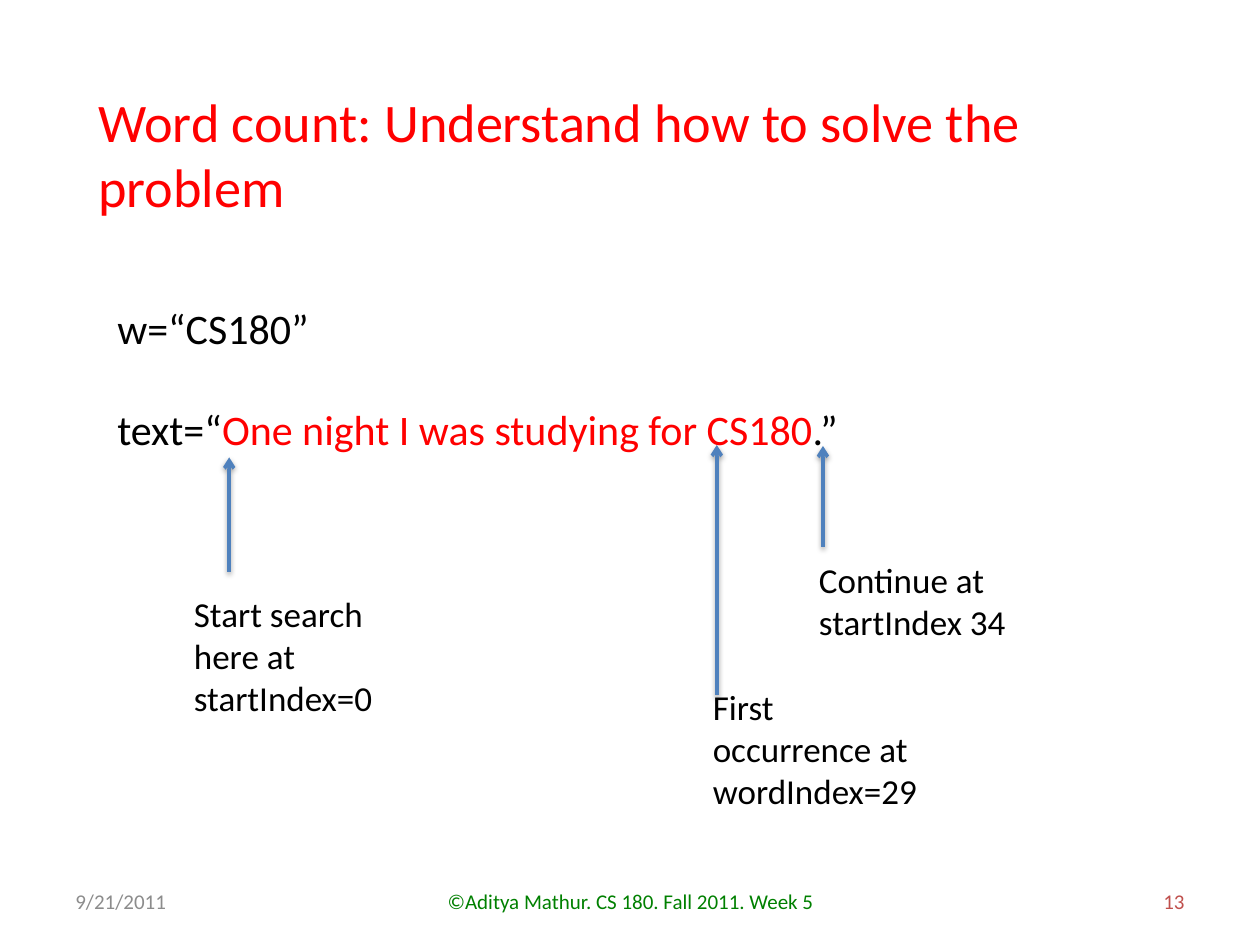
import pptx
import pptx.util
import pptx.dml.color
import pptx.enum.text
import pptx.enum.shapes
import pptx.oxml
import pptx.oxml.ns

Cm, Pt = pptx.util.Cm, pptx.util.Pt
ALIGN = pptx.enum.text.PP_ALIGN
ANCHOR = pptx.enum.text.MSO_ANCHOR

COLORS = {"red": "FF0000", "black": "000000", "gray": "8C8C8C",
          "green": "008000", "number": "C0504D", "arrow": "4F81BD"}

HEADING = "Word count: Understand how to solve the problem"
VARIABLES = [
    [("w=“CS180”", "black")],
    [("text=“", "black"), ("One night I was studying for CS180", "red"), (".”", "black")],
]
FOOTERS = [
    ("9/21/2011", 1.27, 5.92, ALIGN.LEFT, "gray"),
    ("©Aditya Mathur. CS 180. Fall 2011. Week 5", 8.69, 8.05, ALIGN.CENTER, "green"),
    ("13", 18.21, 5.92, ALIGN.RIGHT, "number"),
]
POINTERS = [
    {"label": "Start search\nhere at\nstartIndex=0",
     "box": (3.66, 11.81, 4.32, 2.82), "arrow": (4.62, 11.53, 9.22)},
    {"label": "First\noccurrence at\nwordIndex=29",
     "box": (14.12, 13.69, 4.7, 2.82), "arrow": (14.45, 14.02, 8.97)},
    {"label": "Continue at\nstartIndex 34",
     "box": (16.26, 11.13, 4.34, 1.96), "arrow": (16.59, 11.02, 8.99)},
]

NS = pptx.oxml.ns.nsdecls("a")
ARROWHEAD = f'<a:tailEnd {NS} type="arrow"/>'
SHADOW = (f'<a:effectLst {NS}><a:outerShdw blurRad="{Pt(3.1)}" dist="{Pt(1.6)}" '
          f'dir="5400000" rotWithShape="0"><a:srgbClr val="{COLORS["black"]}">'
          '<a:alpha val="38000"/></a:srgbClr></a:outerShdw></a:effectLst>')


def rgb(color):
    return pptx.dml.color.RGBColor.from_string(COLORS[color])


def format_run(run, size, color):
    run.font.name = "Calibri"
    run.font.size = Pt(size)
    run.font.color.rgb = rgb(color)


def format_frame(frame, size, color, align=ALIGN.LEFT, anchor=ANCHOR.TOP, wrap=True):
    frame.word_wrap = wrap
    frame.auto_size = pptx.enum.text.MSO_AUTO_SIZE.NONE
    frame.vertical_anchor = anchor
    for paragraph in frame.paragraphs:
        paragraph.alignment = align
        for run in paragraph.runs:
            format_run(run, size, color)


def place(shape, left, top, width, height):
    shape.left, shape.top = Cm(left), Cm(top)
    shape.width, shape.height = Cm(width), Cm(height)


deck = pptx.Presentation()
deck.slide_width, deck.slide_height = Cm(25.4), Cm(19.05)
slide = deck.slides.add_slide(deck.slide_layouts[1])

heading = slide.shapes.title
place(heading, 1.73, 1.65, 22.76, 2.9)
heading.text_frame.text = HEADING
format_frame(heading.text_frame, 31, "red")

variables = slide.placeholders[1]
place(variables, 2.11, 5.97, 20.75, 4.37)
format_frame(variables.text_frame, 24, "black")
for index, parts in enumerate(VARIABLES):
    frame = variables.text_frame
    line = frame.add_paragraph() if index else frame.paragraphs[0]
    line.space_before = Pt(29 * index)
    properties = line._p.get_or_add_pPr()
    properties.set("marL", "0")
    properties.set("indent", "0")
    properties.append(pptx.oxml.parse_xml(f"<a:buNone {NS}/>"))
    for words, color in parts:
        run = line.add_run()
        run.text = words
        format_run(run, 24, color)

for words, left, width, align, color in FOOTERS:
    footer = slide.shapes.add_textbox(Cm(left), Cm(17.65), Cm(width), Cm(1.02))
    footer.text_frame.text = words
    format_frame(footer.text_frame, 12, color, align, ANCHOR.MIDDLE)

for pointer in POINTERS:
    group = slide.shapes.add_group_shape()
    label = group.shapes.add_textbox(*map(Cm, pointer["box"]))
    label.text_frame.text = pointer["label"]
    format_frame(label.text_frame, 20, "black", wrap=False)

    x, start, end = map(Cm, pointer["arrow"])
    arrow = group.shapes.add_connector(
        pptx.enum.shapes.MSO_CONNECTOR.STRAIGHT, x, start, x, end)
    arrow.line.color.rgb = rgb("arrow")
    arrow.line.width = Pt(2)
    arrow.line._get_or_add_ln().append(pptx.oxml.parse_xml(ARROWHEAD))
    arrow._element.spPr.append(pptx.oxml.parse_xml(SHADOW))

deck.save("out.pptx")
